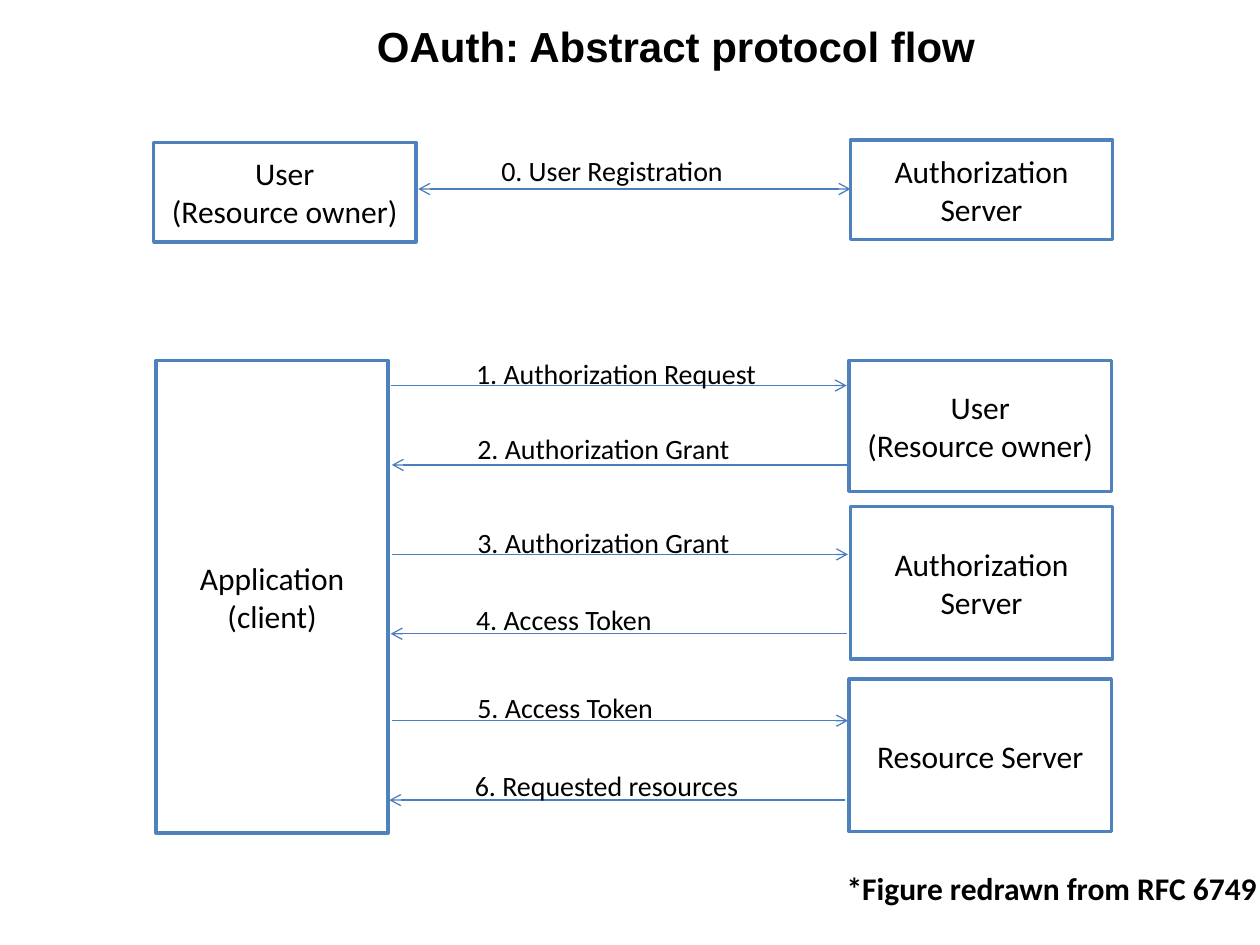
import pptx
import pptx.util
import pptx.dml.color
import pptx.enum.shapes
import pptx.enum.text
import pptx.oxml.ns
import lxml.etree

Inches = pptx.util.Inches
Pt = pptx.util.Pt
COLORS = {"text": "000000", "fill": "FFFFFF", "border": "4F81BD", "arrow": "4B7EBC"}


def color(name):
    return pptx.dml.color.RGBColor.from_string(COLORS[name])


def write_lines(shape, lines, size, font_name="Calibri", bold=False, alignment=None):
    text_frame = shape.text_frame
    text_frame.text = "\n".join(lines)
    for paragraph in text_frame.paragraphs:
        paragraph.alignment = alignment
        paragraph.font.size = Pt(size)
        paragraph.font.name = font_name
        paragraph.font.bold = bold
        paragraph.font.color.rgb = color("text")


presentation = pptx.Presentation()
presentation.slide_width = Inches(10)
presentation.slide_height = Inches(7.5)
slide = presentation.slides.add_slide(presentation.slide_layouts[5])
center = pptx.enum.text.PP_ALIGN.CENTER
middle = pptx.enum.text.MSO_ANCHOR.MIDDLE

title = slide.shapes.title
title.left, title.top = Inches(1.5), Inches(0.08)
title.width, title.height = Inches(7.73), Inches(0.56)
write_lines(title, ["OAuth: Abstract protocol flow"], 24, "Arial", True, center)
title.text_frame.vertical_anchor = middle

user = ["User", "(Resource owner)"]
authorization_server = ["Authorization Server"]
parties = [
    (1.22, 1.13, 2.08, 0.79, user),
    (6.75, 1.11, 2.08, 0.79, authorization_server),
    (1.24, 2.86, 1.84, 3.75, ["Application", "(client)"]),
    (6.74, 2.86, 2.08, 1.04, user),
    (6.75, 4.02, 2.08, 1.21, authorization_server),
    (6.74, 5.39, 2.08, 1.21, ["Resource Server"]),
]
for left, top, width, height, lines in parties:
    box = slide.shapes.add_shape(
        pptx.enum.shapes.MSO_SHAPE.RECTANGLE,
        Inches(left), Inches(top), Inches(width), Inches(height))
    box.shadow.inherit = False
    box.fill.solid()
    box.fill.fore_color.rgb = color("fill")
    box.line.color.rgb = color("border")
    box.line.width = Pt(2)
    box.text_frame.vertical_anchor = middle
    write_lines(box, lines, 18, alignment=center)

messages = [
    ("0. User Registration", 3.32, 6.75, 1.5, ["headEnd", "tailEnd"], 3.88, 1.17, 1.99),
    ("1. Authorization Request", 3.1, 6.72, 3.06, ["tailEnd"], 3.68, 2.78, 2.45),
    ("2. Authorization Grant", 3.11, 6.73, 3.69, ["headEnd"], 3.69, 3.38, 2.23),
    ("3. Authorization Grant", 3.11, 6.73, 4.4, ["tailEnd"], 3.69, 4.12, 2.23),
    ("4. Access Token", 3.1, 6.72, 5.03, ["headEnd"], 3.68, 4.73, 1.61),
    ("5. Access Token", 3.11, 6.73, 5.72, ["tailEnd"], 3.69, 5.43, 1.61),
    ("6. Requested resources", 3.09, 6.71, 6.35, ["headEnd"], 3.67, 6.05, 2.32),
]
for label, start, end, height, arrowheads, left, top, width in messages:
    arrow = slide.shapes.add_connector(
        pptx.enum.shapes.MSO_CONNECTOR.STRAIGHT,
        Inches(start), Inches(height), Inches(end), Inches(height))
    arrow.line.color.rgb = color("arrow")
    arrow.line.width = Pt(0.75)
    for arrowhead in arrowheads:
        lines_xml = arrow.line._get_or_add_ln()
        lxml.etree.SubElement(lines_xml, pptx.oxml.ns.qn("a:" + arrowhead), type="arrow")
    lxml.etree.SubElement(arrow._element.spPr, pptx.oxml.ns.qn("a:effectLst"))

    caption = slide.shapes.add_textbox(Inches(left), Inches(top), Inches(width), Inches(0.37))
    caption.text_frame.word_wrap = False
    write_lines(caption, [label], 16)

footnote = slide.shapes.add_textbox(Inches(6.62), Inches(6.85), Inches(3.49), Inches(0.4))
footnote.text_frame.word_wrap = False
write_lines(footnote, ["*Figure redrawn from RFC 6749"], 18, bold=True)

presentation.save("out.pptx")
